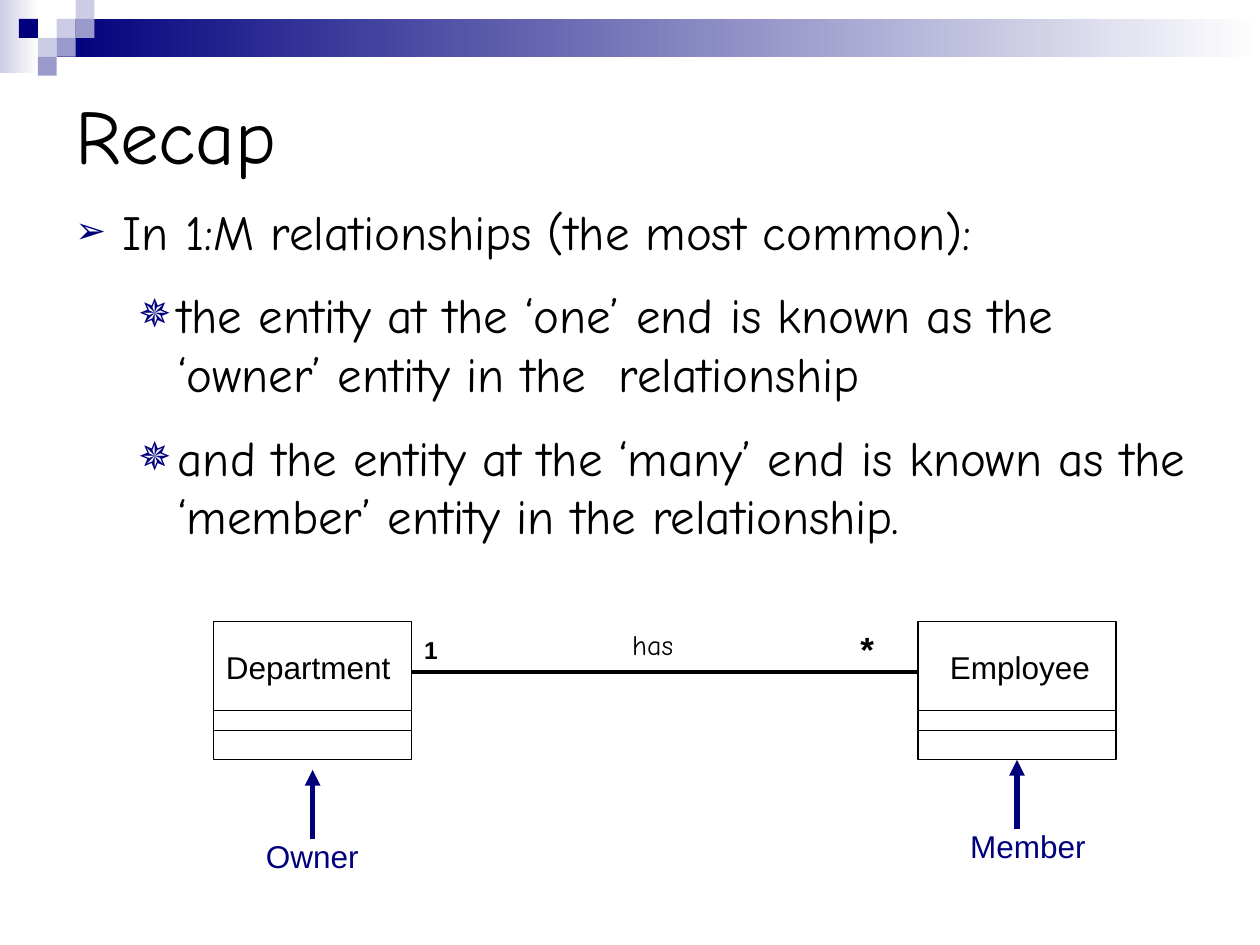
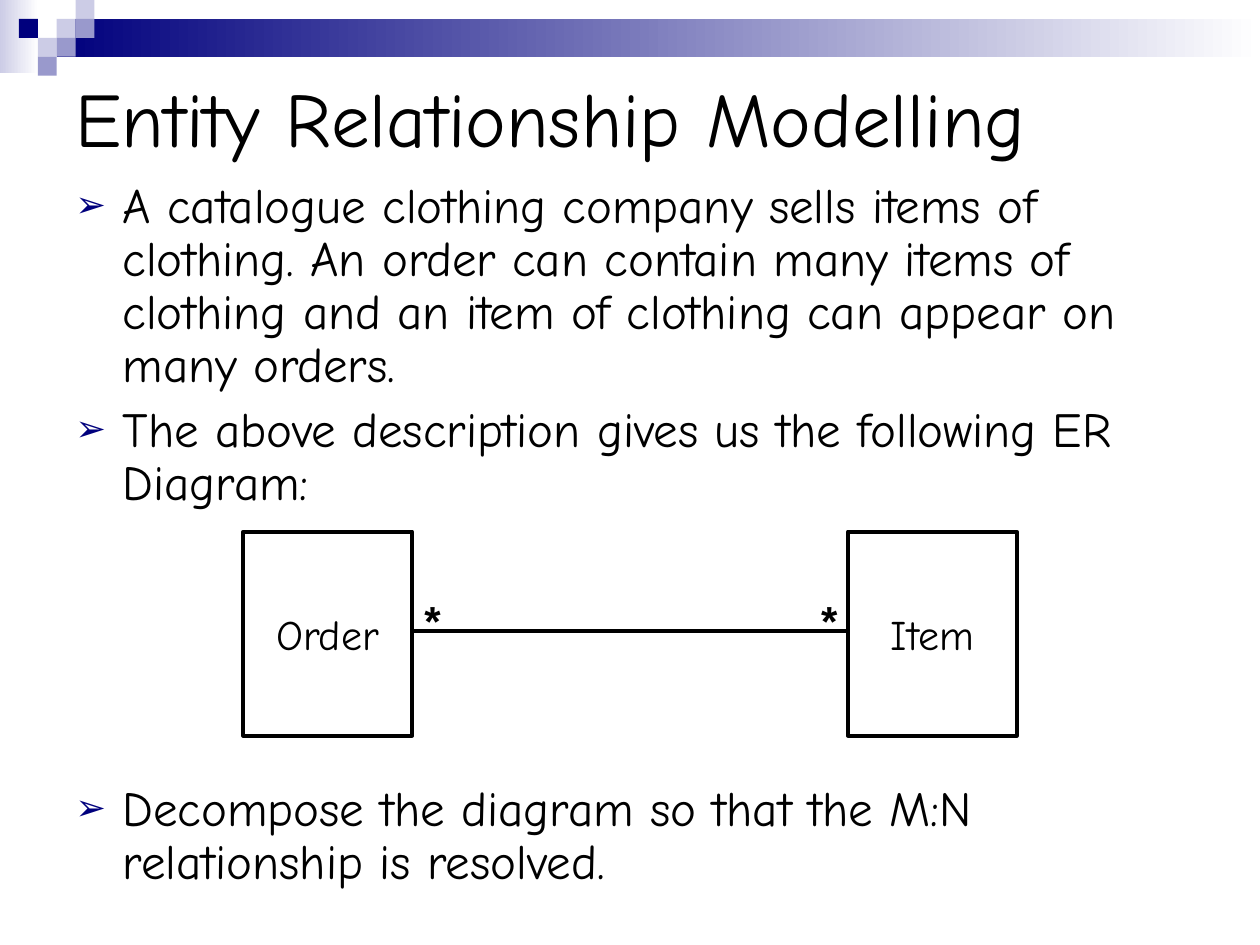
"""Build two slides on entity relationship modelling."""
from dataclasses import dataclass

import lxml.etree
import pptx
import pptx.dml.color
import pptx.enum.shapes
import pptx.enum.text
import pptx.oxml.ns
import pptx.shapes.autoshape
import pptx.slide
import pptx.text.text
import pptx.util

Pt = pptx.util.Pt
NAVY, LILAC, LAVENDER = "00007D", "9999CC", "CCCCE6"
BLACK, WHITE = "000000", "FFFFFF"
HAND, SANS = "Comic Neue", "Arial"
MARGIN = 36
TILE = 10.8
TILES = [(3, 1, LAVENDER), (4, 0, LAVENDER), (4, 1, LILAC), (2, 2, LAVENDER),
         (1, 1, NAVY), (3, 2, LILAC), (2, 3, LILAC)]


@dataclass(frozen=True)
class Box:
    """A rectangle in points."""
    left: float
    top: float
    width: float
    height: float

    @property
    def right(self) -> float:
        return self.left + self.width

    @property
    def bottom(self) -> float:
        return self.top + self.height

    @property
    def center(self) -> float:
        return self.left + self.width / 2


@dataclass(frozen=True)
class Label:
    """A short text beside a part of a diagram."""
    text: str
    box: Box
    size: float
    font: str = SANS
    color: str = BLACK
    bold: bool = False


@dataclass(frozen=True)
class BulletStyle:
    """A bullet character with its size and indents."""
    char: str
    percent: int
    margin: float
    hanging: float
    level: int = 0


@dataclass(frozen=True)
class Point:
    """A bulleted paragraph and the space before it."""
    text: str
    style: BulletStyle
    before: float = 0


ARROW = BulletStyle("➢", 75, 27, 27)
STAR = BulletStyle("✵", 80, 58.5, 22.5, 1)


def rgb(color: str) -> pptx.dml.color.RGBColor:
    """Turn a hex string into a colour."""
    return pptx.dml.color.RGBColor.from_string(color)


def lengths(box: Box) -> list[pptx.util.Length]:
    """Give the place and size of a box as lengths."""
    return [Pt(value) for value in (box.left, box.top, box.width, box.height)]


def add_rect(slide: pptx.slide.Slide, box: Box, fill: str = "", fade: bool = False,
             line: float = 0) -> pptx.shapes.autoshape.Shape:
    """Draw a rectangle that is plain, fading to white, or outlined."""
    rect = slide.shapes.add_shape(pptx.enum.shapes.MSO_SHAPE.RECTANGLE, *lengths(box))
    rect.shadow.inherit = False
    if fade:
        rect.fill.gradient()
        rect.fill.gradient_angle = 0
        for stop, color, position in zip(rect.fill.gradient_stops, (fill, WHITE), (0, 1)):
            stop.color.rgb = rgb(color)
            stop.position = position
    elif fill:
        rect.fill.solid()
        rect.fill.fore_color.rgb = rgb(fill)
    else:
        rect.fill.background()
    if line:
        rect.line.color.rgb = rgb(BLACK)
        rect.line.width = Pt(line)
    else:
        rect.line.fill.background()
    return rect


def add_line(slide: pptx.slide.Slide, x1: float, y1: float, x2: float, y2: float,
             width: float, color: str = BLACK, arrow: bool = False) -> None:
    """Draw a straight line, with an arrowhead at its end if asked."""
    line = slide.shapes.add_connector(
        pptx.enum.shapes.MSO_CONNECTOR.STRAIGHT, Pt(x1), Pt(y1), Pt(x2), Pt(y2))
    line.line.color.rgb = rgb(color)
    line.line.width = Pt(width)
    properties = line._element.spPr
    lxml.etree.SubElement(properties, pptx.oxml.ns.qn("a:effectLst"))
    if arrow:
        outline = properties.find(pptx.oxml.ns.qn("a:ln"))
        lxml.etree.SubElement(outline, pptx.oxml.ns.qn("a:tailEnd"), type="triangle")


def style_text(paragraph: pptx.text.text._Paragraph, size: float, font: str,
               color: str = BLACK, bold: bool = False) -> None:
    """Format the runs of a paragraph."""
    for run in paragraph.runs:
        run.font.size = Pt(size)
        run.font.name = font
        run.font.bold = bold
        run.font.color.rgb = rgb(color)


def add_label(slide: pptx.slide.Slide, label: Label,
              anchor: pptx.enum.text.MSO_ANCHOR = pptx.enum.text.MSO_ANCHOR.TOP) -> None:
    """Write a label in a wrapping text box."""
    frame = slide.shapes.add_textbox(*lengths(label.box)).text_frame
    frame.word_wrap = True
    frame.vertical_anchor = anchor
    frame.text = label.text
    style_text(frame.paragraphs[0], label.size, label.font, label.color, label.bold)


def add_bullet(paragraph: pptx.text.text._Paragraph, style: BulletStyle) -> None:
    """Give a paragraph its bullet and hanging indent."""
    qn = pptx.oxml.ns.qn
    properties = paragraph._p.get_or_add_pPr()
    properties.set("marL", str(Pt(style.margin)))
    properties.set("indent", str(-Pt(style.hanging)))
    color = lxml.etree.SubElement(properties, qn("a:buClr"))
    lxml.etree.SubElement(color, qn("a:srgbClr"), val=NAVY)
    lxml.etree.SubElement(properties, qn("a:buSzPct"), val=str(style.percent * 1000))
    lxml.etree.SubElement(properties, qn("a:buFont"), typeface=SANS)
    lxml.etree.SubElement(properties, qn("a:buChar"), char=style.char)


def add_points(slide: pptx.slide.Slide, box: Box, points: list[Point],
               spacing: float = 1.0) -> None:
    """Write the bulleted body text."""
    frame = slide.shapes.add_textbox(*lengths(box)).text_frame
    frame.word_wrap = True
    for index, point in enumerate(points):
        paragraph = frame.add_paragraph() if index else frame.paragraphs[0]
        paragraph.text = point.text
        paragraph.level = point.style.level
        paragraph.line_spacing = spacing
        paragraph.space_before = Pt(point.before)
        add_bullet(paragraph, point.style)
        style_text(paragraph, 28, HAND)


def add_page(deck: pptx.presentation.Presentation, title: str,
             title_top: float) -> pptx.slide.Slide:
    """Add a slide with the banner, the tiles and a title."""
    slide = deck.slides.add_slide(deck.slide_layouts[6])
    add_rect(slide, Box(0, 0, 22, 42), LAVENDER, fade=True)
    add_rect(slide, Box(3 * TILE, TILE, 720 - 3 * TILE, 2 * TILE), NAVY, fade=True)
    for column, row, color in TILES:
        add_rect(slide, Box(column * TILE, row * TILE, TILE, TILE), color)
    add_label(slide, Label(title, Box(MARGIN, title_top, 648, 81), 44, HAND),
              pptx.enum.text.MSO_ANCHOR.MIDDLE)
    return slide


def add_class(slide: pptx.slide.Slide, box: Box) -> None:
    """Draw a class box with three compartments."""
    add_rect(slide, box, line=0.75)
    for offset in (51, 62.5):
        add_line(slide, box.left, box.top + offset, box.right, box.top + offset, 0.75)


def add_role(slide: pptx.slide.Slide, entity: Box, text: str, gap: float) -> None:
    """Point an arrow and a role name at an entity from below."""
    tip = entity.bottom + gap
    add_line(slide, entity.center, tip + 39.6, entity.center, tip, 3, NAVY, arrow=True)
    add_label(slide, Label(text, Box(entity.center - 33.8, tip + 34.6, 83.5, 29), 18,
                           color=NAVY))


def add_entity(slide: pptx.slide.Slide, box: Box, name: str) -> None:
    """Draw a plain entity with its name in the middle."""
    frame = add_rect(slide, box, line=2.25).text_frame
    frame.word_wrap = True
    frame.vertical_anchor = pptx.enum.text.MSO_ANCHOR.MIDDLE
    frame.text = name
    frame.paragraphs[0].alignment = pptx.enum.text.PP_ALIGN.CENTER
    style_text(frame.paragraphs[0], 24, HAND)


def build_recap(deck: pptx.presentation.Presentation) -> None:
    """Build the recap of owner and member entities."""
    slide = add_page(deck, "Recap", 36)
    add_points(slide, Box(MARGIN, 111.6, 664.6, 215.3), [
        Point("In 1:M relationships (the most common):", ARROW),
        Point("the entity at the ‘one’ end is known as the ‘owner’ entity in the"
              "  relationship", STAR, 14),
        Point("and the entity at the ‘many’ end is known as the ‘member’ entity in the"
              " relationship.", STAR, 14)])
    department = Box(122, 355, 113.3, 79.2)
    employee = Box(524.5, 355, 113.3, 79.2)
    for entity in (department, employee):
        add_class(slide, entity)
    add_line(slide, department.right, 383.8, employee.left, 383.8, 2.25)
    add_role(slide, department, "Owner", 5.7)
    add_role(slide, employee, "Member", 0)
    for label in (
            Label("Department", Box(department.left, 366.5, 113.3, 29), 18),
            Label("Employee", Box(535.7, 366.5, 96.5, 29), 18),
            Label("has", Box(354.2, 355, 68.4, 26.6), 16, HAND),
            Label("1", Box(department.right, 359.3, 28, 24.5), 14, bold=True),
            Label("*", Box(484.6, 355, 51, 31.7), 20, bold=True)):
        add_label(slide, label)


def build_modelling(deck: pptx.presentation.Presentation) -> None:
    """Build the many-to-many exercise."""
    slide = add_page(deck, "Entity Relationship Modelling", 26)
    add_points(slide, Box(MARGIN, 100, 648, 440), [
        Point("A catalogue clothing company sells items of clothing. An order can contain"
              " many items of clothing and an item of clothing can appear on many orders.",
              ARROW),
        Point("The above description gives us the following ER Diagram:", ARROW, 7),
        Point("Decompose the diagram so that the M:N relationship is resolved.",
              ARROW, 156)], spacing=0.9)
    order = Box(139, 303.8, 96.5, 116.6)
    item = Box(484.6, 303.8, 96.5, 116.6)
    add_entity(slide, order, "Order")
    add_entity(slide, item, "Item")
    add_line(slide, order.right, 360.7, item.left, 360.7, 2.25)
    for left in (order.right, item.left - 22.4):
        add_label(slide, Label("*", Box(left, 336.2, 33.8, 36), 24, bold=True))


def main() -> None:
    """Build and save the presentation."""
    deck = pptx.Presentation()
    deck.slide_width, deck.slide_height = Pt(720), Pt(540)
    build_recap(deck)
    build_modelling(deck)
    deck.save("out.pptx")


if __name__ == "__main__":
    main()
